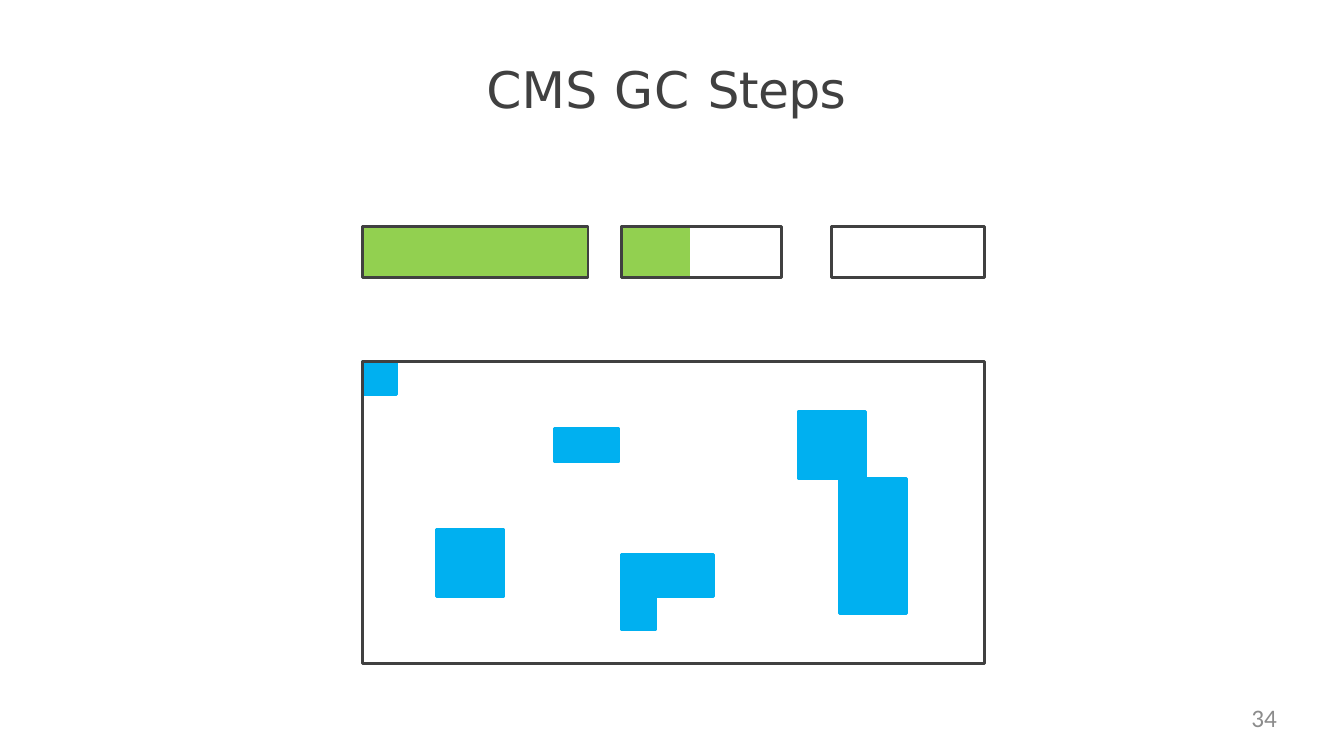
from dataclasses import dataclass
from typing import Optional

from pptx import Presentation
from pptx.dml.color import RGBColor
from pptx.enum.shapes import MSO_SHAPE
from pptx.enum.text import PP_ALIGN
from pptx.util import Inches, Pt

RECTANGLE = MSO_SHAPE.RECTANGLE
LEFT, RIGHT = PP_ALIGN.LEFT, PP_ALIGN.RIGHT
COLORS = {"ink": "404040", "young": "92D050", "old": "00B0F0", "number": "8C8C8C"}

# The slide is a grid of 160 columns and 90 rows, 12 cells to the inch
CELL = Inches(1) / 12
BLOCK = 4


@dataclass(frozen=True)
class Area:
    column: float
    row: float
    columns: float
    rows: float

    def box(self) -> list[int]:
        cells = (self.column, self.row, self.columns, self.rows)
        return [round(count * CELL) for count in cells]


@dataclass(frozen=True)
class Region:
    area: Area
    fill: Optional[str] = None
    line: str = "ink"


@dataclass(frozen=True)
class Cluster:
    """Live heap blocks, laid out across and down from a corner."""
    column: float
    row: float
    across: int = 1
    down: int = 1
    step: float = BLOCK

    def regions(self) -> list[Region]:
        return [
            Region(Area(self.column + i * self.step, self.row + j * BLOCK, BLOCK, BLOCK), "old", "old")
            for j in range(self.down)
            for i in range(self.across)
        ]


@dataclass(frozen=True)
class Label:
    area: Area
    runs: list[tuple[str, int]]  # text and letter spacing in 1/100 pt
    font: str
    size: int
    color: str
    align: PP_ALIGN = LEFT
    margin_top: float = 0


EDEN = Region(Area(43.2, 27, 26.8, 6), "young")
SURVIVORS = [
    Region(Area(74, 27, 8, 6), "young", "young"),
    Region(Area(74, 27, 19, 6)),
    Region(Area(99, 27, 18.2, 6)),
]
CLUSTERS = [
    Cluster(43.2, 43),
    Cluster(66, 51, across=2, step=3.7),
    Cluster(52, 63, across=2, down=2),
    Cluster(74, 71),
    Cluster(95, 49, across=2, down=2),
    Cluster(99.9, 57, across=2, down=4),
]
WIDE_BLOCK = Region(Area(74, 66, 11, 5), "old", "old")
HEAP = Region(Area(43.2, 43, 74, 36))
LABELS = [
    Label(Area(57.9, 6.8, 43, 7.6), [("CMS ", 20), ("GC ", 80), ("Steps", -50)],
          "DejaVu Sans", 36, "ink", margin_top=0.01),
    Label(Area(115.2, 83.6, 36.8, 4.6), [("34", 0)], "Calibri", 18, "number", RIGHT),
]


def color(name: str) -> RGBColor:
    return RGBColor.from_string(COLORS[name])


def draw_region(slide, region: Region) -> None:
    shape = slide.shapes.add_shape(RECTANGLE, *region.area.box())
    shape.shadow.inherit = False
    if region.fill:
        shape.fill.solid()
        shape.fill.fore_color.rgb = color(region.fill)
    else:
        shape.fill.background()
    shape.line.color.rgb = color(region.line)
    shape.line.width = Pt(2)


def draw_label(slide, label: Label) -> None:
    frame = slide.shapes.add_textbox(*label.area.box()).text_frame
    frame.word_wrap = label.align == RIGHT
    frame.margin_left = frame.margin_right = frame.margin_bottom = 0
    frame.margin_top = Inches(label.margin_top)
    paragraph = frame.paragraphs[0]
    paragraph.alignment = label.align
    paragraph.font.name = label.font
    paragraph.font.size = Pt(label.size)
    paragraph.font.color.rgb = color(label.color)
    for text, spacing in label.runs:
        run = paragraph.add_run()
        run.text = text
        if spacing:
            run.font._element.set("spc", str(spacing))


def main() -> None:
    presentation = Presentation()
    presentation.slide_width = round(160 * CELL)
    presentation.slide_height = round(90 * CELL)
    slide = presentation.slides.add_slide(presentation.slide_layouts[6])

    # Young generation, then old generation with its border on top
    blocks = [region for cluster in CLUSTERS for region in cluster.regions()]
    for region in [EDEN, *SURVIVORS, *blocks, WIDE_BLOCK, HEAP]:
        draw_region(slide, region)

    # Title and slide number
    for label in LABELS:
        draw_label(slide, label)

    presentation.save("out.pptx")


if __name__ == "__main__":
    main()
